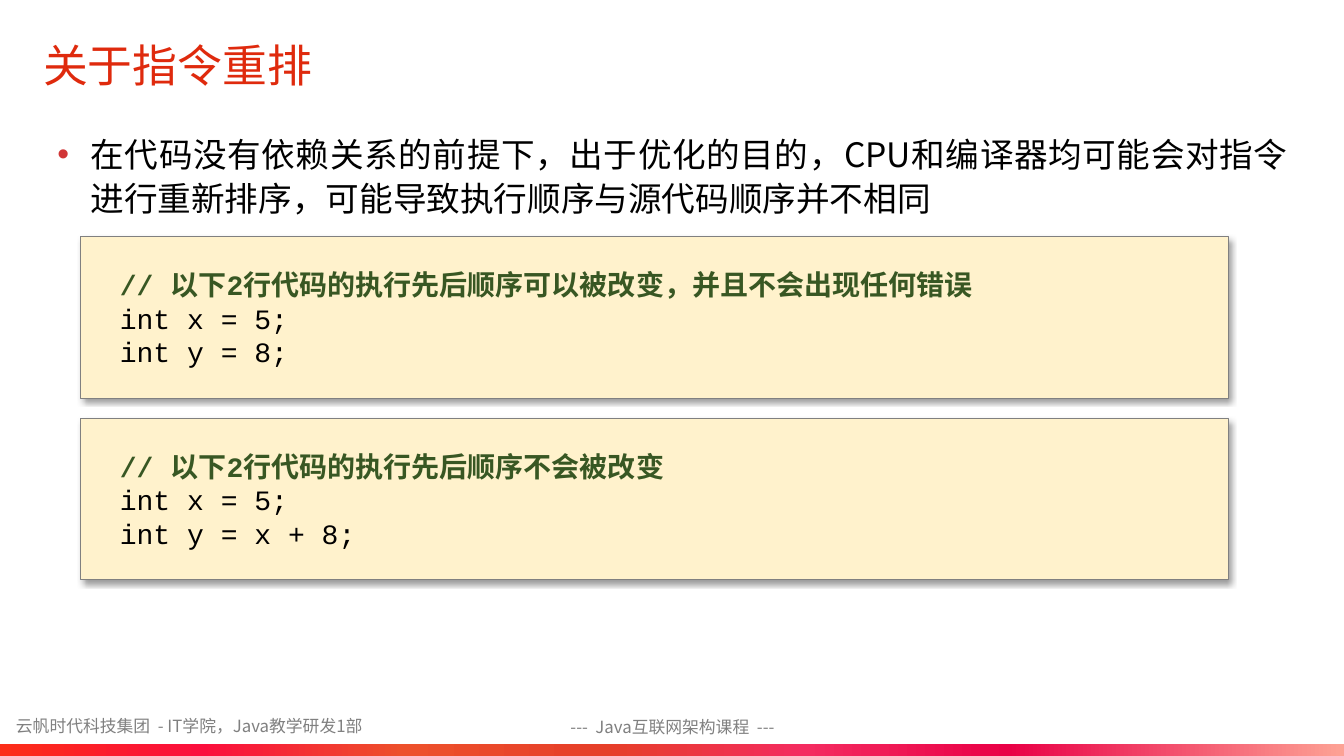
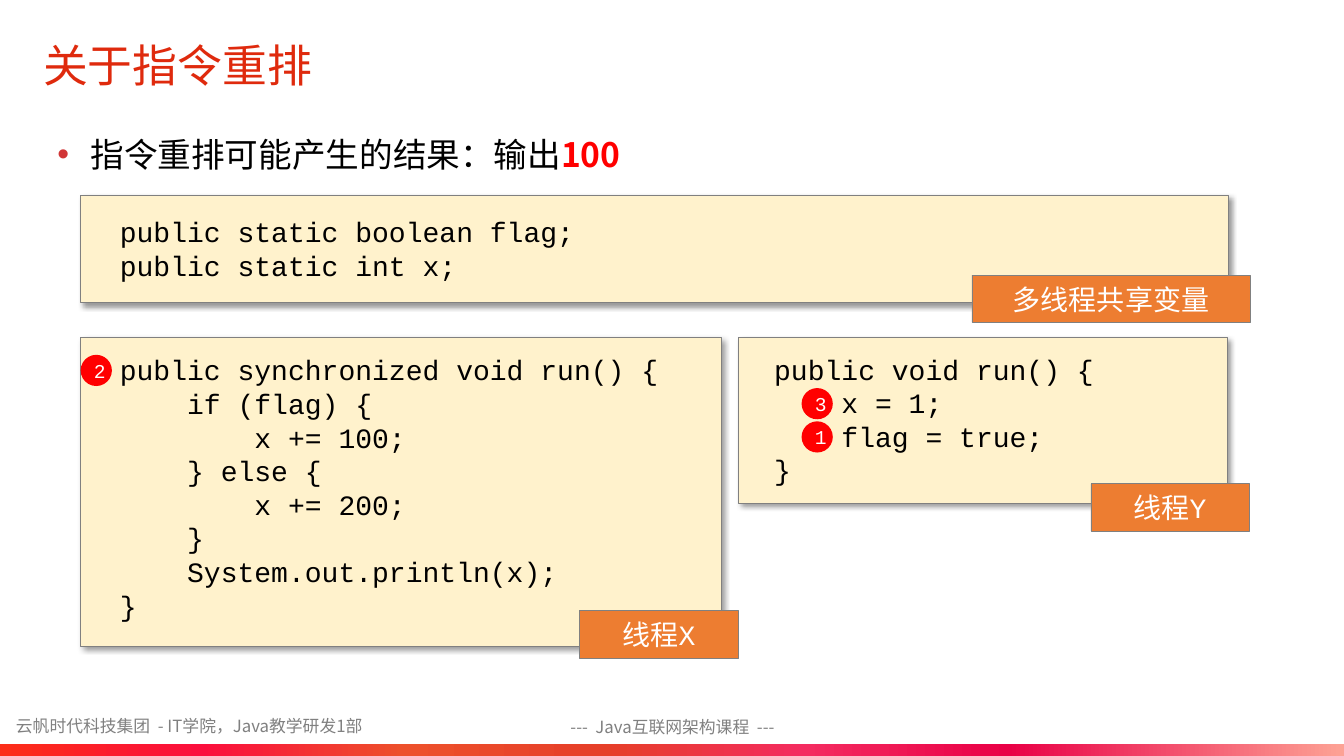
from dataclasses import dataclass

from lxml import etree
from pptx import Presentation
from pptx import util as u
from pptx.dml import color as dml
from pptx.enum import shapes, text
from pptx.oxml import ns

COLOURS = {
    "title": "DF2A0D",
    "body": "000000",
    "bullet": "D13637",
    "accent": "FF0000",
    "comment": "385723",
    "panel": "FFF2CC",
    "outline": "808080",
    "footer": "808080",
    "label": "ED7D31",
    "white": "FFFFFF",
    "shadow": "000000",
}
BAND_STOPS = [(0, "FC2D18"), (15, "FB0F3D"), (30, "ED502B"), (45, "E63F29"),
              (60, "F42B60"), (75, "E90046"), (100, "FDA295")]
CODE_FONT = "Courier New"
TEXT_FONT = "Noto Sans CJK SC"
SLIDE_WIDTH, SLIDE_HEIGHT = 13.33, 7.5
BAND_HEIGHT = 0.12
BADGE_SIZE = 0.31
LABEL_HEIGHT = 0.47
TITLE = "关于指令重排"


@dataclass(frozen=True)
class Box:
    left: float
    top: float
    width: float
    height: float

    def lengths(self) -> list[u.Length]:
        return [u.Inches(value) for value in (self.left, self.top, self.width, self.height)]


@dataclass(frozen=True)
class Style:
    size: int
    colour: str
    font: str = CODE_FONT
    bold: bool = False


@dataclass(frozen=True)
class CodePanel:
    frame: Box
    code_box: Box
    code: str


@dataclass(frozen=True)
class Label:
    left: float
    top: float
    width: float
    caption: str


@dataclass(frozen=True)
class Badge:
    left: float
    top: float
    number: str


TITLE_STYLE = Style(32, "title")
BODY_STYLE = Style(24, "body", TEXT_FONT)
EMPHASIS_STYLE = Style(24, "accent", TEXT_FONT, True)
FOOTER_STYLE = Style(12, "footer", TEXT_FONT)
CODE_STYLE = Style(20, "body")
COMMENT_STYLE = Style(20, "comment", bold=True)
LABEL_STYLE = Style(20, "white")
BADGE_STYLE = Style(14, "white")

FOOTERS = [
    (Box(0.06, 7.05, 4.42, 0.31), "云帆时代科技集团  - IT学院，Java教学研发1部", text.PP_ALIGN.LEFT),
    (Box(4.95, 7.05, 3.44, 0.32), "---  Java互联网架构课程  ---", text.PP_ALIGN.CENTER),
]


def rgb(name: str) -> dml.RGBColor:
    return dml.RGBColor.from_string(COLOURS[name])


def add_child(parent, tag: str, **attributes):
    return etree.SubElement(parent, ns.qn(tag), attributes)


def format_run(run, style: Style) -> None:
    run.font.size = u.Pt(style.size)
    run.font.bold = style.bold
    run.font.color.rgb = rgb(style.colour)
    run.font.name = style.font
    add_child(run.font._element, "a:ea", typeface=TEXT_FONT)


def write(shape, content: str, style: Style, align=text.PP_ALIGN.LEFT,
          anchor=text.MSO_ANCHOR.MIDDLE) -> None:
    frame = shape.text_frame
    frame.text = content
    frame.word_wrap = True
    frame.vertical_anchor = anchor
    for paragraph in frame.paragraphs:
        paragraph.alignment = align
        for run in paragraph.runs:
            format_run(run, COMMENT_STYLE if run.text.startswith("//") else style)


def add_text(slide, box: Box, content: str, style: Style, **options):
    shape = slide.shapes.add_textbox(*box.lengths())
    write(shape, content, style, **options)
    return shape


def add_filled(slide, box: Box, fill: str, outlined: bool = True,
               kind=shapes.MSO_SHAPE.RECTANGLE):
    shape = slide.shapes.add_shape(kind, *box.lengths())
    shape.shadow.inherit = False
    shape.fill.solid()
    shape.fill.fore_color.rgb = rgb(fill)
    if outlined:
        shape.line.color.rgb = rgb("outline")
        shape.line.width = u.Pt(0.5)
    else:
        shape.line.fill.background()
    return shape


def add_band(slide) -> None:
    box = Box(0, SLIDE_HEIGHT - BAND_HEIGHT, SLIDE_WIDTH, BAND_HEIGHT)
    band = add_filled(slide, box, "title", outlined=False)
    band.fill.gradient()
    band.fill.gradient_angle = 0
    stops = band._element.spPr.find(".//" + ns.qn("a:gsLst"))
    for stop in list(stops):
        stops.remove(stop)
    for position, colour in BAND_STOPS:
        stop = add_child(stops, "a:gs", pos=str(position * 1000))
        add_child(stop, "a:srgbClr", val=colour)


def add_bullet(slide, height: float, content: str, emphasis: str = "") -> None:
    shape = add_text(slide, Box(0.47, 1.24, 12.4, height), content, BODY_STYLE,
                     align=text.PP_ALIGN.JUSTIFY, anchor=text.MSO_ANCHOR.TOP)
    paragraph = shape.text_frame.paragraphs[0]
    paragraph.line_spacing = 1.1
    paragraph.space_before = u.Pt(10)
    if emphasis:
        run = paragraph.add_run()
        run.text = emphasis
        format_run(run, EMPHASIS_STYLE)
    properties = paragraph._p.get_or_add_pPr()
    indent = u.Inches(0.33)
    properties.set("marL", str(indent))
    properties.set("indent", str(-indent))
    bullet_colour = add_child(properties, "a:buClr")
    add_child(bullet_colour, "a:srgbClr", val=COLOURS["bullet"])
    add_child(properties, "a:buFont", typeface="Arial")
    add_child(properties, "a:buChar", char="•")


def add_panel(slide, panel: CodePanel) -> None:
    shape = add_filled(slide, panel.frame, "panel")
    effects = shape._element.spPr.find(ns.qn("a:effectLst"))
    shadow = add_child(effects, "a:outerShdw", blurRad=str(u.Pt(4)), dist=str(u.Pt(3)),
                       dir="2700000", algn="tl", rotWithShape="0")
    shadow_colour = add_child(shadow, "a:srgbClr", val=COLOURS["shadow"])
    add_child(shadow_colour, "a:alpha", val="40000")
    add_text(slide, panel.code_box, panel.code, CODE_STYLE)


def add_label(slide, label: Label) -> None:
    box = Box(label.left, label.top, label.width, LABEL_HEIGHT)
    write(add_filled(slide, box, "label"), label.caption, LABEL_STYLE,
          align=text.PP_ALIGN.CENTER)


def add_badge(slide, badge: Badge) -> None:
    box = Box(badge.left, badge.top, BADGE_SIZE, BADGE_SIZE)
    shape = add_filled(slide, box, "accent", outlined=False, kind=shapes.MSO_SHAPE.OVAL)
    write(shape, badge.number, BADGE_STYLE, align=text.PP_ALIGN.CENTER)
    frame = shape.text_frame
    frame.word_wrap = False
    frame.margin_left = u.Inches(0.07)
    frame.margin_right = frame.margin_top = frame.margin_bottom = 0


def add_base_slide(presentation):
    slide = presentation.slides.add_slide(presentation.slide_layouts[6])
    for box, content, align in FOOTERS:
        add_text(slide, box, content, FOOTER_STYLE, align=align)
    add_band(slide)
    add_text(slide, Box(0.33, 0.29, 10.63, 0.71), TITLE, TITLE_STYLE)
    return slide


def build_reordering_rule(presentation) -> None:
    slide = add_base_slide(presentation)
    add_bullet(slide, 5.51, "在代码没有依赖关系的前提下，出于优化的目的，CPU和编译器均可能会对指令"
                            "进行重新排序，可能导致执行顺序与源代码顺序并不相同")
    examples = [
        "// 以下2行代码的执行先后顺序可以被改变，并且不会出现任何错误\nint x = 5;\nint y = 8;",
        "// 以下2行代码的执行先后顺序不会被改变\nint x = 5;\nint y = x + 8;",
    ]
    for index, code in enumerate(examples):
        top = 2.35 + index * 1.8
        add_panel(slide, CodePanel(Box(0.8, top, 11.38, 1.6),
                                   Box(1.09, top + 0.11, 10.79, 1.39), code))


def build_reordering_result(presentation) -> None:
    slide = add_base_slide(presentation)
    add_bullet(slide, 0.71, "指令重排可能产生的结果：输出", "100")
    thread_x = """public synchronized void run() {
    if (flag) {
        x += 100;
    } else {
        x += 200;
    }
    System.out.println(x);
}"""
    thread_y = """public void run() {
    x = 1;
    flag = true;
}"""
    shared = "public static boolean flag;\npublic static int x;"
    for panel in (
        CodePanel(Box(0.8, 3.35, 6.35, 3.06), Box(1.09, 3.52, 5.78, 2.63), thread_x),
        CodePanel(Box(0.8, 1.94, 11.38, 1.06), Box(1.09, 2.05, 10.79, 0.82), shared),
        CodePanel(Box(7.32, 3.35, 4.85, 1.64), Box(7.58, 3.52, 4.12, 1.28), thread_y),
    ):
        add_panel(slide, panel)
    for label in (
        Label(5.75, 6.06, 1.57, "线程X"),
        Label(9.64, 2.73, 2.76, "多线程共享变量"),
        Label(10.82, 4.8, 1.57, "线程Y"),
    ):
        add_label(slide, label)
    for badge in (Badge(0.8, 3.52, "2"), Badge(7.95, 3.85, "3"), Badge(7.95, 4.18, "1")):
        add_badge(slide, badge)


def main() -> None:
    presentation = Presentation()
    presentation.slide_width = u.Inches(SLIDE_WIDTH)
    presentation.slide_height = u.Inches(SLIDE_HEIGHT)
    build_reordering_rule(presentation)
    build_reordering_result(presentation)
    presentation.save("out.pptx")


if __name__ == "__main__":
    main()
